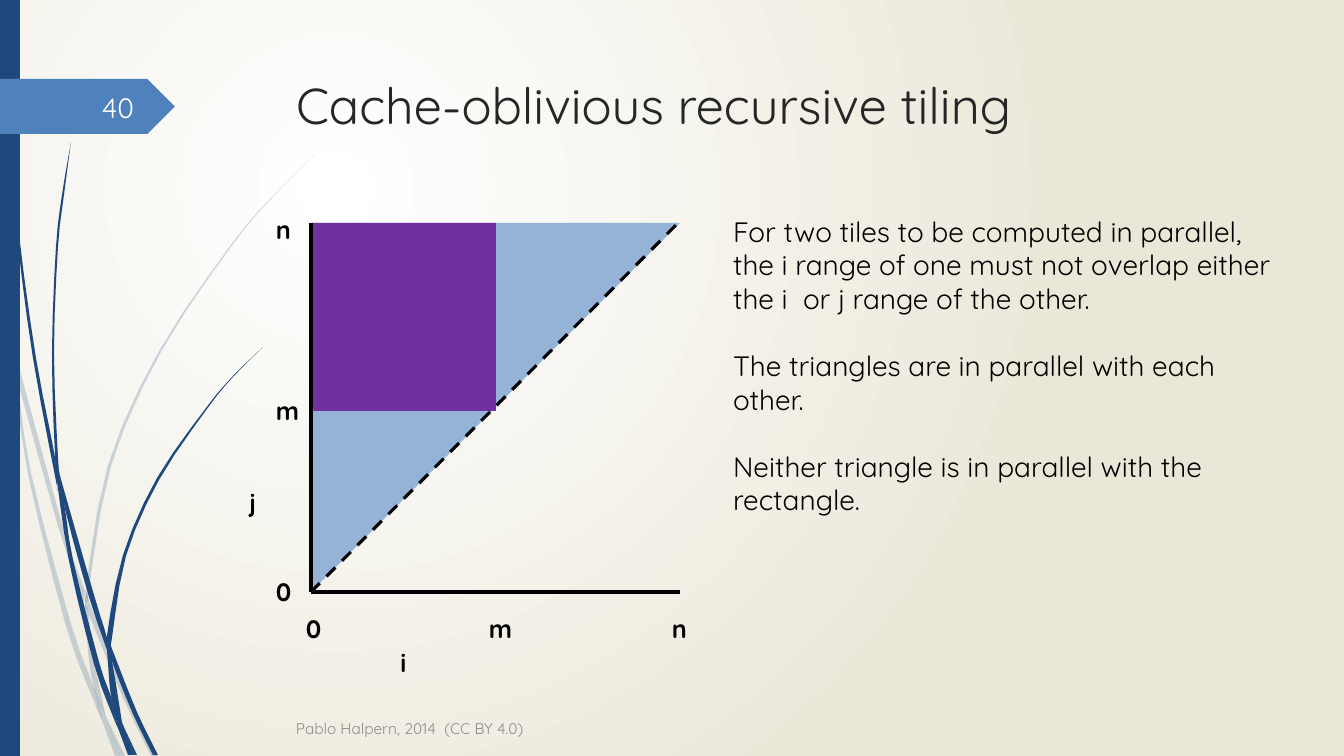
"""Build the slide on cache-oblivious recursive tiling."""
from lxml.etree import SubElement
from pptx import Presentation
from pptx.dml.color import RGBColor
from pptx.enum.dml import MSO_LINE
from pptx.enum.shapes import MSO_CONNECTOR, MSO_SHAPE
from pptx.enum.text import MSO_ANCHOR, MSO_AUTO_SIZE, PP_ALIGN
from pptx.oxml.ns import qn
from pptx.util import Pt

SCALE = 914400 / 100.8
FONT = "Quicksand"
HUES = {
    "navy": "1F497D", "blue": "4F81BD", "pale": "95B3D7",
    "purple": "7030A0", "black": "000000", "title": "262626",
    "gray": "8C8C8C", "white": "FFFFFF", "page": "FEFFFF", "sand": "EAE7D8",
}
PALE_BLADES = [
    ([(0, 284), (9, 325), (11, 353)], [(0, 301), (10, 347), (11, 353)]),
    ([(14, 348), (62, 524), (85, 591)], [(17, 379), (58, 526), (84, 604)]),
    ([(89, 601), (93, 612), (128, 698), (156, 756)],
     [(89, 615), (124, 700), (151, 756)]),
    ([(106, 717), (125, 756)], [(106, 717), (120, 756)]),
    ([(11, 353), (17, 379), (31, 473), (71, 624), (94, 688), (102, 720)],
     [(11, 353), (28, 474), (66, 626), (93, 699), (102, 720)]),
    ([(85, 604), (89, 615), (92, 651), (106, 717)],
     [(85, 604), (88, 651), (94, 688), (106, 717)]),
    ([(315, 154), (270, 199), (230, 246), (159, 351), (108, 465), (86, 589),
      (89, 601)],
     [(315, 154), (270, 200), (231, 247), (161, 352), (111, 466), (89, 589),
      (89, 601)]),
    ([(102, 720), (120, 756)], [(102, 720), (115, 756)]),
    ([(86, 591), (89, 601), (89, 615)], [(86, 591), (85, 604), (89, 613)]),
    ([(94, 688), (106, 717), (120, 756)],
     [(94, 688), (100, 713), (102, 720), (120, 756)]),
]
DARK_BLADES = [
    ([(4, 0), (5, 48), (8, 110), (19, 234), (36, 358), (55, 457), (57, 485)],
     [(3, 0), (4, 48), (7, 111), (17, 235), (33, 358), (56, 481), (57, 485)]),
    ([(60, 476), (94, 595), (107, 638), (107, 650)],
     [(60, 476), (65, 509), (89, 597), (107, 650)]),
    ([(111, 646), (114, 654), (137, 712), (158, 755)],
     [(111, 646), (112, 661), (133, 714), (153, 755)]),
    ([(57, 481), (65, 509), (73, 560), (99, 662), (111, 697), (118, 728)],
     [(57, 481), (69, 561), (94, 664), (112, 714), (118, 728)]),
    ([(71, 142), (64, 195), (58, 247), (54, 352), (58, 457), (60, 476)],
     [(71, 142), (62, 195), (56, 247), (52, 352), (55, 453), (60, 476)]),
    ([(123, 725), (137, 755)], [(123, 725), (134, 755)]),
    ([(55, 453), (60, 476), (65, 509)], [(55, 453), (57, 481), (65, 509)]),
    ([(263, 347), (233, 376), (206, 408), (157, 478), (123, 555), (107, 636),
      (111, 646)],
     [(263, 347), (233, 377), (207, 409), (159, 480), (126, 556), (112, 638),
      (111, 646)]),
    ([(118, 728), (132, 755)], [(118, 728), (128, 755)]),
    ([(107, 650), (112, 661), (122, 722), (123, 725)],
     [(107, 650), (111, 697), (117, 712), (123, 725)]),
    ([(107, 636), (111, 646), (112, 661)], [(107, 636), (107, 650), (112, 661)]),
    ([(111, 697), (123, 725), (134, 755)],
     [(111, 697), (117, 723), (118, 728), (131, 755)]),
]
NOTES = [
    "For two tiles to be computed in parallel, the i range of one must not "
    "overlap either the i  or j range of the other.",
    "The triangles are in parallel with each other.",
    "Neither triangle is in parallel with the rectangle.",
]


def px(size):
    return round(size * SCALE)


def hue(name):
    return RGBColor.from_string(HUES[name])


def place(shape, box):
    shape.left, shape.top, shape.width, shape.height = map(px, box)


def paint(shape, color):
    shape.shadow.inherit = False
    shape.fill.solid()
    shape.fill.fore_color.rgb = hue(color)
    shape.line.fill.background()


def write(para, text, size, color, bold=False, align=PP_ALIGN.LEFT):
    para.alignment = align
    run = para.add_run()
    run.text = text
    run.font.name = FONT
    run.font.size = Pt(size)
    run.font.bold = bold
    run.font.color.rgb = hue(color)


def frame(shape, anchor=MSO_ANCHOR.TOP):
    text = shape.text_frame
    text.word_wrap = True
    text.auto_size = MSO_AUTO_SIZE.NONE
    text.vertical_anchor = anchor
    return text


def block(slide, kind, box, color):
    shape = slide.shapes.add_shape(kind, *map(px, box))
    paint(shape, color)
    return shape


def label(slide, box, text, size=18, color="black", bold=True,
          align=PP_ALIGN.LEFT, anchor=MSO_ANCHOR.TOP):
    shape = slide.shapes.add_textbox(*map(px, box))
    write(frame(shape, anchor).paragraphs[0], text, size, color, bold, align)


def axis(slide, start, end, dash=None):
    line = slide.shapes.add_connector(
        MSO_CONNECTOR.STRAIGHT, *map(px, start + end))
    line.line.color.rgb = hue("black")
    line.line.width = Pt(2.25)
    line.line.dash_style = dash
    SubElement(line._element.spPr, qn("a:effectLst"))


def curve(knots, steps=3):
    ends = [knots[0], *knots, knots[-1]]
    points = []
    for a, b, c, d in zip(ends, ends[1:], ends[2:], ends[3:]):
        for step in range(steps):
            t = step / steps
            points.append(tuple(
                px(q + t * (r - p + t * (2 * p - 5 * q + 4 * r - s
                                         + t * (3 * (q - r) + s - p))) / 2)
                for p, q, r, s in zip(a, b, c, d)))
    return points + [tuple(map(px, knots[-1]))]


def blade(slide, sides, alpha=None):
    near, far = map(curve, sides)
    pen = slide.shapes.build_freeform(*near[0])
    pen.add_line_segments(near[1:] + far[::-1])
    shape = pen.convert_to_shape()
    paint(shape, "navy")
    if alpha:
        tint = shape._element.spPr.find(qn("a:solidFill"))[0]
        SubElement(tint, qn("a:alpha"), val=str(alpha * 1000))


def glow(slide):
    fill = slide.background.fill
    fill.gradient()
    for stop, color in zip(fill.gradient_stops, ("white", "sand")):
        stop.color.rgb = hue(color)
    grad = slide._element.find(".//" + qn("a:gradFill"))
    grad.remove(grad.find(qn("a:lin")))
    ring = SubElement(grad, qn("a:path"))
    ring.set("path", "circle")
    SubElement(ring, qn("a:fillToRect"),
               l="50000", t="50000", r="100000", b="100000")


def decor(slide):
    for sides in PALE_BLADES:
        blade(slide, sides, 20)
    for sides in DARK_BLADES:
        blade(slide, sides)
    block(slide, MSO_SHAPE.RECTANGLE, (0, 0, 20, 756), "navy")
    block(slide, MSO_SHAPE.PENTAGON, (0, 79, 175, 55), "blue")


def graph(slide):
    left, top, side = 311, 223, 369
    right, base = left + side, top + side
    half = block(slide, MSO_SHAPE.RIGHT_TRIANGLE,
                 (left, top, side, side), "pale")
    half.rotation = 90
    block(slide, MSO_SHAPE.RECTANGLE, (left, top, 185, 188), "purple")
    label(slide, (286, 708, 840, 40), "Pablo Halpern, 2014  (CC BY 4.0)",
          11, "gray", False, anchor=MSO_ANCHOR.MIDDLE)
    label(slide, (58, 87, 86, 40), "40", 20, "page", False,
          PP_ALIGN.RIGHT, MSO_ANCHOR.MIDDLE)
    axis(slide, (left, top), (left, base))
    axis(slide, (right, base), (left, base))
    axis(slide, (left, base), (right - 2, top), MSO_LINE.DASH)
    label(slide, (224, 482, 42, 40), "j", align=PP_ALIGN.RIGHT)
    label(slide, (387, 642, 33, 40), "i", align=PP_ALIGN.CENTER)
    for k, name in enumerate("0mn"):
        label(slide, (266, 571 - 181 * k, 30, 42), name)
        label(slide, (296 + 183 * k, 608, 30, 42), name)


def words(slide):
    title, body = slide.placeholders
    place(title, (286, 69, 983, 141))
    write(frame(title).paragraphs[0], "Cache-oblivious recursive tiling",
          36, "title")
    place(body, (723, 209, 572, 315))
    text = frame(body)
    for k, note in enumerate(NOTES):
        para = text.add_paragraph() if k else text.paragraphs[0]
        para.space_before = Pt(24 if k else 0)
        write(para, note, 20, "black")
        props = para._p.get_or_add_pPr()
        props.set("marL", "0")
        props.set("indent", "0")
        SubElement(props, qn("a:buNone"))


def main():
    deck = Presentation()
    deck.slide_width, deck.slide_height = px(1344), px(756)
    slide = deck.slides.add_slide(deck.slide_layouts[1])
    glow(slide)
    decor(slide)
    graph(slide)
    words(slide)
    deck.save("out.pptx")


if __name__ == "__main__":
    main()
